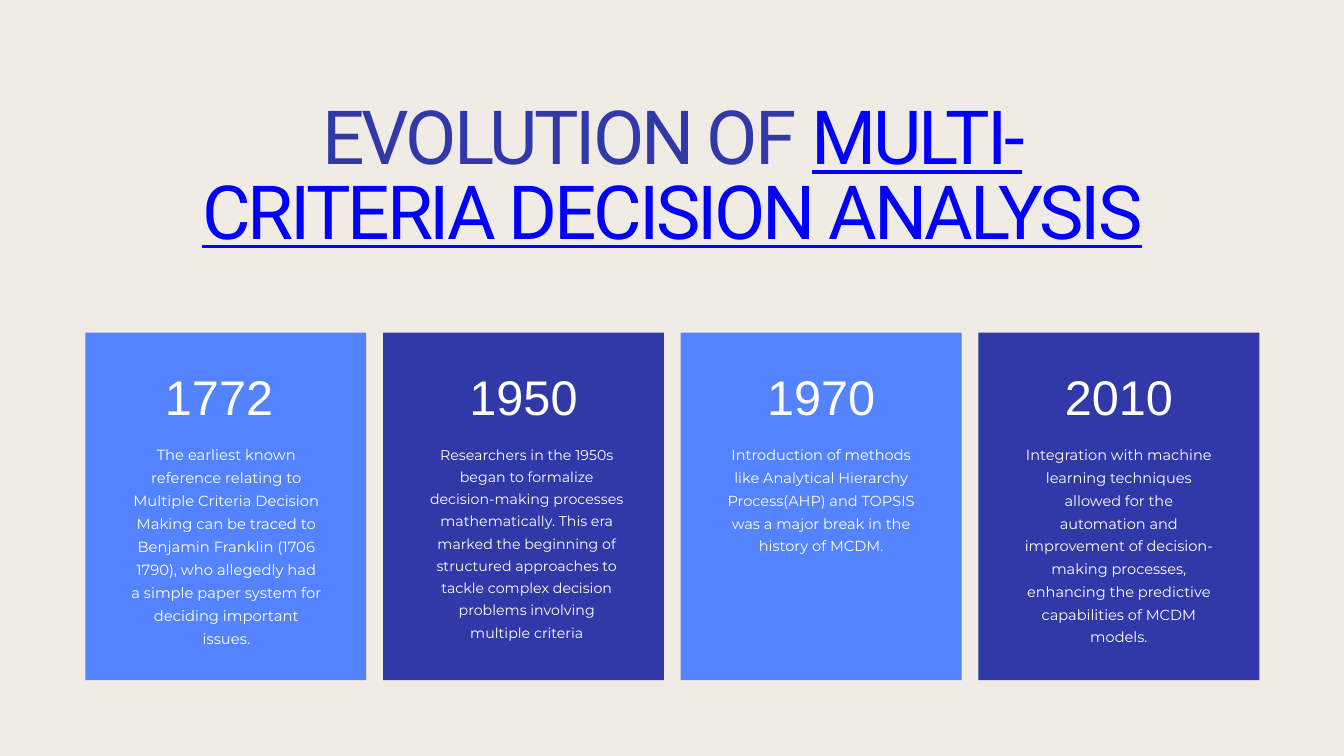
"""Build a slide with four dated cards on the evolution of multi-criteria decision analysis."""
from dataclasses import dataclass

from pptx import Presentation
from pptx.dml.color import RGBColor
from pptx.enum import shapes, text
from pptx.util import Inches, Pt


@dataclass(frozen=True)
class Theme:
    background: str = "F1EBE5"
    light: str = "5383FF"
    dark: str = "3139A8"
    highlight: str = "0000FF"
    white: str = "FFFFFF"
    title_size: float = 80
    year_size: float = 52.1


theme = Theme()


def format_run(run, font_name, size, color):
    run.font.name = font_name
    run.font.size = Pt(size)
    run.font.color.rgb = RGBColor.from_string(color)


def prepare_frame(shape, line_spacing):
    frame = shape.text_frame
    frame.margin_left = frame.margin_right = frame.margin_top = frame.margin_bottom = 0
    frame.word_wrap = True
    frame.auto_size = text.MSO_AUTO_SIZE.NONE
    frame.vertical_anchor = text.MSO_ANCHOR.TOP
    paragraph = frame.paragraphs[0]
    paragraph.alignment = text.PP_ALIGN.CENTER
    paragraph.line_spacing = Pt(line_spacing)
    return paragraph


presentation = Presentation()
presentation.slide_width = Inches(20)
presentation.slide_height = Inches(11.25)
slide = presentation.slides.add_slide(presentation.slide_layouts[5])
slide.background.fill.solid()
slide.background.fill.fore_color.rgb = RGBColor.from_string(theme.background)

title = slide.shapes.title
title.left, title.top = Inches(2.71), Inches(1.56)
title.width, title.height = Inches(14.59), Inches(2.26)
paragraph = prepare_frame(title, theme.title_size)
title_parts = [
    ("EVOLUTION OF ", theme.dark, False),
    ("MULTI-CRITERIA DECISION ANALYSIS", theme.highlight, True),
]
for words, color, underlined in title_parts:
    run = paragraph.add_run()
    run.text = words
    format_run(run, "Roboto", theme.title_size, color)
    run.font.underline = underlined
    run.font._element.set("spc", "-340")

cards = [
    ("1772 ", 2.84, 15.8, 24.6,
     "The earliest known reference relating to Multiple Criteria Decision Making can be "
     "traced to Benjamin Franklin (1706 1790), who allegedly had a simple paper system "
     "for deciding important issues."),
    ("1950", 2.92, 15.2, 23.8,
     "Researchers in the 1950s began to formalize decision-making processes "
     "mathematically. This era marked the beginning of structured approaches to tackle "
     "complex decision problems involving multiple criteria"),
    ("1970", 2.82, 15.6, 24.4,
     "Introduction of methods like Analytical Hierarchy Process(AHP) and TOPSIS was a "
     "major break in the history of MCDM."),
    ("2010", 2.82, 15.6, 24.4,
     "Integration with machine learning techniques allowed for the automation and "
     "improvement of decision-making processes, enhancing the predictive capabilities "
     "of MCDM models."),
]
first_left, pitch = 1.27, 4.43

for index, (year, body_width, body_size, body_spacing, body) in enumerate(cards):
    left = first_left + index * pitch
    card = slide.shapes.add_shape(
        shapes.MSO_SHAPE.RECTANGLE, Inches(left), Inches(4.95), Inches(4.18), Inches(5.17))
    card.shadow.inherit = False
    card.fill.solid()
    card.fill.fore_color.rgb = RGBColor.from_string(theme.dark if index % 2 else theme.light)
    card.line.fill.background()

    labels = [
        (year, 0.84, 5.59, 2.5, 0.79, "Arial", theme.year_size, 53.6),
        (body, 0.68, 6.56, body_width, 3.35, "Montserrat", body_size, body_spacing),
    ]
    for words, offset, top, width, height, font_name, size, spacing in labels:
        label = slide.shapes.add_textbox(
            Inches(left + offset), Inches(top), Inches(width), Inches(height))
        paragraph = prepare_frame(label, spacing)
        paragraph.text = words
        format_run(paragraph.runs[0], font_name, size, theme.white)

presentation.save("out.pptx")
